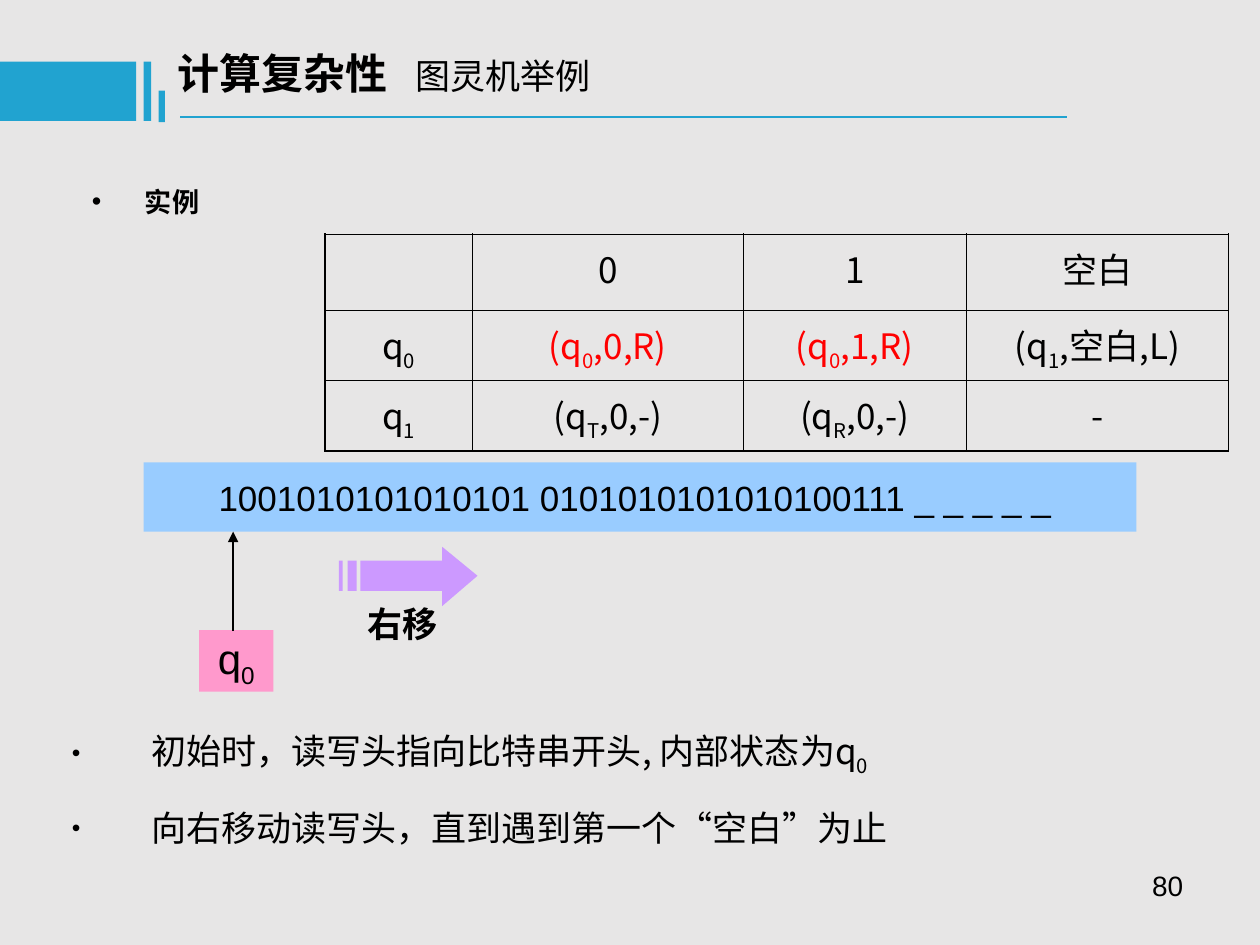
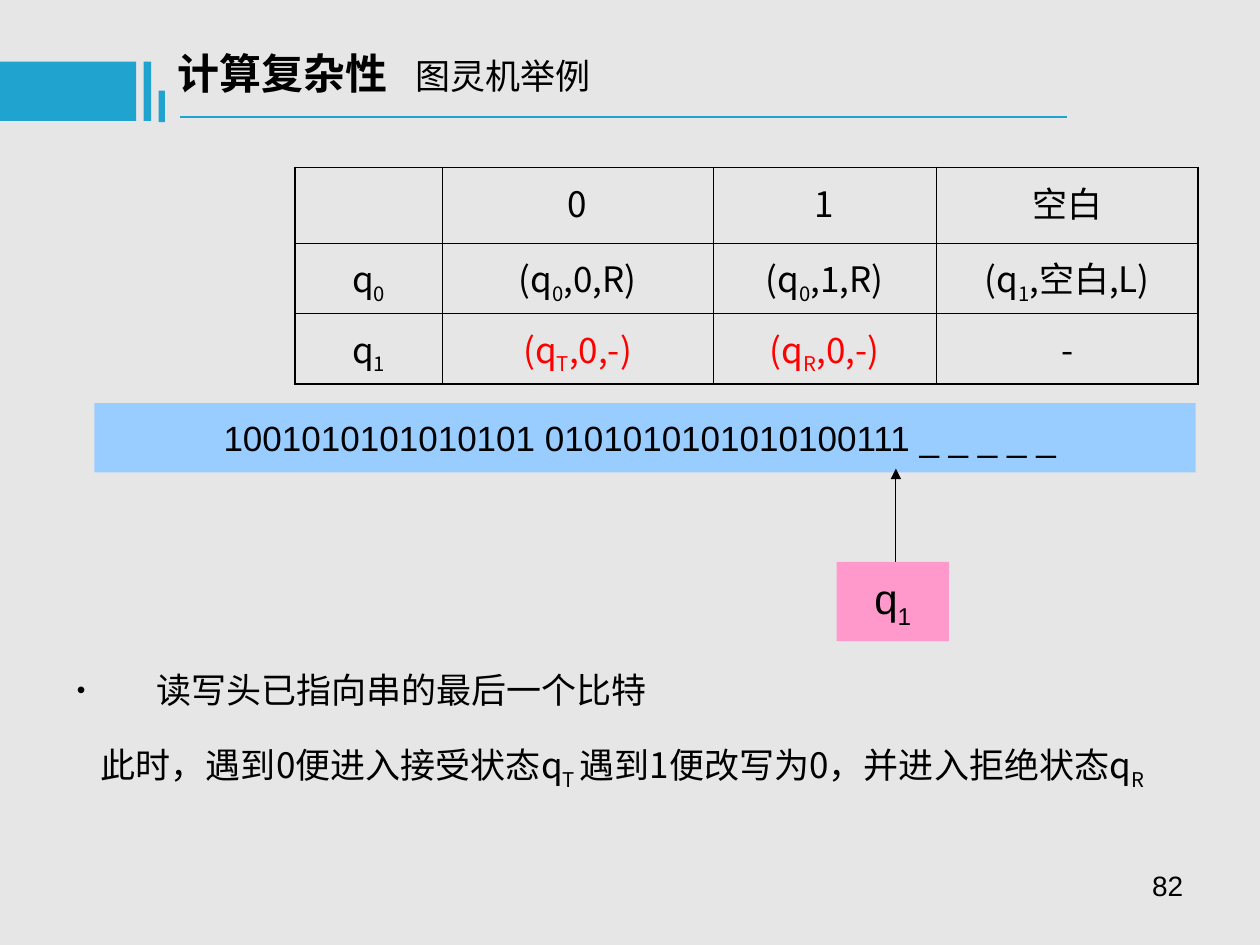
from lxml import etree
from pptx import Presentation
from pptx.dml.color import RGBColor
from pptx.enum.shapes import MSO_CONNECTOR, MSO_SHAPE
from pptx.enum.text import MSO_ANCHOR, MSO_AUTO_SIZE, PP_ALIGN
from pptx.oxml.ns import qn
from pptx.util import Inches, Pt

BACKGROUND = RGBColor(0xE7, 0xE6, 0xE6)
ACCENT = RGBColor(0x21, 0xA3, 0xD0)
TAPE = RGBColor(0x99, 0xCC, 0xFF)
HEAD = RGBColor(0xFF, 0x99, 0xCC)
MOVE = RGBColor(0xCC, 0x99, 0xFF)
BLACK = RGBColor(0, 0, 0)
RED = RGBColor(0xFF, 0, 0)
CJK = "Noto Sans CJK SC"
LATIN = "Arial"

TAPE_TEXT = "1001010101010101 0101010101010100111 _ _ _ _ _ "
RULES = [
    ["", "0", "1", "空白"],
    ["q{0}", "(q{0},0,R)", "(q{0},1,R)", "(q{1},空白,L)"],
    ["q{1}", "(q{T},0,-)", "(q{R},0,-)", "-"],
]
COLUMNS = [1.17, 2.15, 1.77, 2.08]
ROWS = [0.6, 0.56, 0.56]


def child(parent, tag, **attrs):
    """Append a DrawingML element to a parent."""
    return etree.SubElement(parent, qn(tag), attrs)


def write(p, text, size=20, font=CJK, color=BLACK, bold=False, align=PP_ALIGN.LEFT):
    """Add text to a paragraph, setting parts in braces as subscripts."""
    p.alignment = align
    for i, part in enumerate(text.replace("}", "{").split("{")):
        if not part:
            continue
        r = p.add_run()
        r.text = part
        r.font.size, r.font.name, r.font.bold = Pt(size), font, bold
        r.font.color.rgb = color
        rPr = r.font._element
        child(rPr, "a:ea", typeface=CJK)
        if i % 2:
            rPr.set("baseline", "-25000")


def set_frame(tf, wrap=True, anchor=MSO_ANCHOR.TOP, margin=(0.1, 0.05)):
    """Set wrapping, anchor and margins of a text frame."""
    tf.word_wrap, tf.vertical_anchor = wrap, anchor
    tf.auto_size = MSO_AUTO_SIZE.NONE
    tf.margin_left = tf.margin_right = Inches(margin[0])
    tf.margin_top = tf.margin_bottom = Inches(margin[1])


def place(sp, x, y, w, h):
    """Move and size a shape in inches."""
    sp.left, sp.top, sp.width, sp.height = map(Inches, (x, y, w, h))


def set_indent(p, left, first, bullet_size=None):
    """Set a paragraph's indents and its bullet, if it has one."""
    pPr = p._p.get_or_add_pPr()
    pPr.set("marL", str(Inches(left)))
    pPr.set("indent", str(Inches(first)))
    if bullet_size is None:
        child(pPr, "a:buNone")
        return
    child(child(pPr, "a:buClr"), "a:srgbClr", val=str(BLACK))
    child(pPr, "a:buSzPct", val=str(bullet_size * 1000))
    child(pPr, "a:buFont", typeface=LATIN)
    child(pPr, "a:buChar", char="•")


def fill_plain(sp, color):
    """Give a shape a flat fill without line or shadow."""
    sp.shadow.inherit = False
    sp.fill.solid()
    sp.fill.fore_color.rgb = color
    sp.line.fill.background()


def add_box(s, x, y, w, h, color, text="", size=20):
    """Add a flat rectangle with centred text."""
    sp = s.shapes.add_shape(MSO_SHAPE.RECTANGLE, *map(Inches, (x, y, w, h)))
    fill_plain(sp, color)
    if text:
        set_frame(sp.text_frame, wrap=False, anchor=MSO_ANCHOR.MIDDLE)
        write(sp.text_frame.paragraphs[0], text, size, LATIN, align=PP_ALIGN.CENTER)


def add_line(s, x1, y1, x2, y2, color, width, arrow=False):
    """Add a straight line, with an arrowhead at its end if wanted."""
    line = s.shapes.add_connector(MSO_CONNECTOR.STRAIGHT, *map(Inches, (x1, y1, x2, y2)))
    line.line.color.rgb = color
    line.line.width = Pt(width)
    if arrow:
        child(line.line._get_or_add_ln(), "a:tailEnd", type="triangle")
    child(line._element.spPr, "a:effectLst")


def add_label(s, x, y, w, h, text, margin=(0.1, 0.05), wrap=True, **fmt):
    """Add a text box with one paragraph."""
    tf = s.shapes.add_textbox(*map(Inches, (x, y, w, h))).text_frame
    set_frame(tf, wrap=wrap, margin=margin)
    write(tf.paragraphs[0], text, **fmt)


def add_header(s, number):
    """Add the title, its blue bars and rule, and the slide number."""
    title = s.shapes.title
    place(title, 1.31, 0.33, 7.09, 0.5)
    set_frame(title.text_frame)
    p = title.text_frame.paragraphs[0]
    tabs = child(p._p.get_or_add_pPr(), "a:tabLst")
    child(tabs, "a:tab", pos=str(Inches(1.89)), algn="l")
    write(p, "计算复杂性\t", size=24, bold=True)
    write(p, "图灵机举例")
    for x, y, w, h in [(0, 0.49, 1.08, 0.47), (1.14, 0.49, 0.06, 0.47), (1.26, 0.72, 0.05, 0.25)]:
        add_box(s, x, y, w, h, ACCENT)
    add_line(s, 1.43, 0.93, 8.47, 0.93, ACCENT, 1.5)
    add_label(s, 7.17, 6.83, 2.33, 0.52, number, margin=(0.11, 0.06),
              size=16, font=LATIN, align=PP_ALIGN.RIGHT)


def add_list(body, x, y, w, h, items):
    """Fill a body placeholder with (text, first indent, bullet size) items."""
    place(body, x, y, w, h)
    tf = body.text_frame
    set_frame(tf)
    for i, (text, first, bullet_size) in enumerate(items):
        p = tf.add_paragraph() if i else tf.paragraphs[0]
        set_indent(p, 0.63, first, bullet_size)
        p.line_spacing = 1.5
        p.space_before = Pt(5 if i else 0)
        write(p, text)


def set_borders(cell, row, col):
    """Draw a cell's borders, thicker along the outside of the table."""
    outer = {"L": col == 0, "R": col == len(COLUMNS) - 1,
             "T": row == 0, "B": row == len(ROWS) - 1}
    tcPr = cell._tc.get_or_add_tcPr()
    for side, is_outer in outer.items():
        ln = child(tcPr, f"a:ln{side}", w=str(Pt(1.08 if is_outer else 0.45)))
        child(child(ln, "a:solidFill"), "a:srgbClr", val=str(BLACK))


def add_rules(s, x, y, red_cells):
    """Add the transition table with the active rules in red."""
    frame = s.shapes.add_table(len(ROWS), len(COLUMNS), Inches(x), Inches(y),
                               Inches(sum(COLUMNS)), Inches(sum(ROWS)))
    table = frame.table
    table.first_row = table.horz_banding = False
    for column, width in zip(table.columns, COLUMNS):
        column.width = Inches(width)
    for row, (height, texts) in enumerate(zip(ROWS, RULES)):
        table.rows[row].height = Inches(height)
        for col, text in enumerate(texts):
            cell = table.cell(row, col)
            set_borders(cell, row, col)
            cell.fill.background()
            cell.margin_top = Inches(0.07)
            write(cell.text_frame.paragraphs[0], text, align=PP_ALIGN.CENTER,
                  color=RED if (row, col) in red_cells else BLACK)


def add_move_arrow(s, x, y):
    """Add the striped arrow and its caption."""
    top, bottom = 0.11, 0.35
    head = [(0.82, 0), (0.82, top), (0.17, top), (0.17, bottom),
            (0.82, bottom), (0.82, 0.47), (1.1, 0.23)]
    stripes = [[(a, top), (a, bottom), (b, bottom), (b, top)]
               for a, b in [(0.07, 0.14), (0, 0.03)]]
    builder = None
    for outline in [head, *stripes]:
        start, *points = [(Inches(x + dx), Inches(y + dy)) for dx, dy in outline]
        if builder:
            builder.move_to(*start)
        else:
            builder = s.shapes.build_freeform(*start)
        builder.add_line_segments(points, close=True)
    fill_plain(builder.convert_to_shape(), MOVE)
    add_label(s, x + 0.13, y + 0.39, 0.75, 0.44, "右移", wrap=False,
              font=LATIN, bold=True, align=PP_ALIGN.CENTER)


def build_start(prs):
    """Build the slide on the initial state."""
    s = prs.slides.add_slide(prs.slide_layouts[3])
    add_header(s, "80")
    heading, steps = s.placeholders[1], s.placeholders[2]
    place(heading, 0.62, 1.41, 1.57, 0.39)
    set_frame(heading.text_frame, margin=(0.11, 0.06))
    p = heading.text_frame.paragraphs[0]
    set_indent(p, 0.42, -0.42, 100)
    p.space_before = Pt(0)
    write(p, "实例", size=15.5, font=LATIN, bold=True)
    add_rules(s, 2.58, 1.86, {(1, 1), (1, 2)})
    add_box(s, 1.14, 3.67, 7.88, 0.55, TAPE, TAPE_TEXT)
    add_box(s, 1.58, 5, 0.59, 0.49, HEAD, "q{0}", size=24)
    add_line(s, 1.85, 5.01, 1.85, 4.22, BLACK, 0.75, arrow=True)
    add_move_arrow(s, 2.69, 4.34)
    add_list(steps, 0.47, 5.55, 9.21, 1.11, [
        ("初始时，读写头指向比特串开头, 内部状态为q{0}", -0.63, 70),
        ("向右移动读写头，直到遇到第一个“空白”为止", -0.63, 70),
    ])


def build_end(prs):
    """Build the slide on the last bit."""
    s = prs.slides.add_slide(prs.slide_layouts[1])
    add_header(s, "82")
    add_rules(s, 2.34, 1.33, {(2, 1), (2, 2)})
    add_box(s, 0.75, 3.2, 8.74, 0.55, TAPE, TAPE_TEXT)
    add_line(s, 7.11, 4.59, 7.11, 3.72, BLACK, 0.75, arrow=True)
    add_box(s, 6.64, 4.46, 0.89, 0.63, HEAD, "q{1}", size=24)
    add_list(s.placeholders[1], 0.51, 5.09, 9.15, 1.81, [
        ("读写头已指向串的最后一个比特", -0.63, 70),
        ("此时，遇到0便进入接受状态q{T }遇到1便改写为0，并进入拒绝状态q{R}", -0.44, None),
    ])


def main():
    """Build and save the presentation."""
    prs = Presentation()
    prs.slide_width, prs.slide_height = Inches(10), Inches(7.5)
    fill = prs.slide_master.background.fill
    fill.solid()
    fill.fore_color.rgb = BACKGROUND
    build_start(prs)
    build_end(prs)
    prs.save("out.pptx")


if __name__ == "__main__":
    main()
